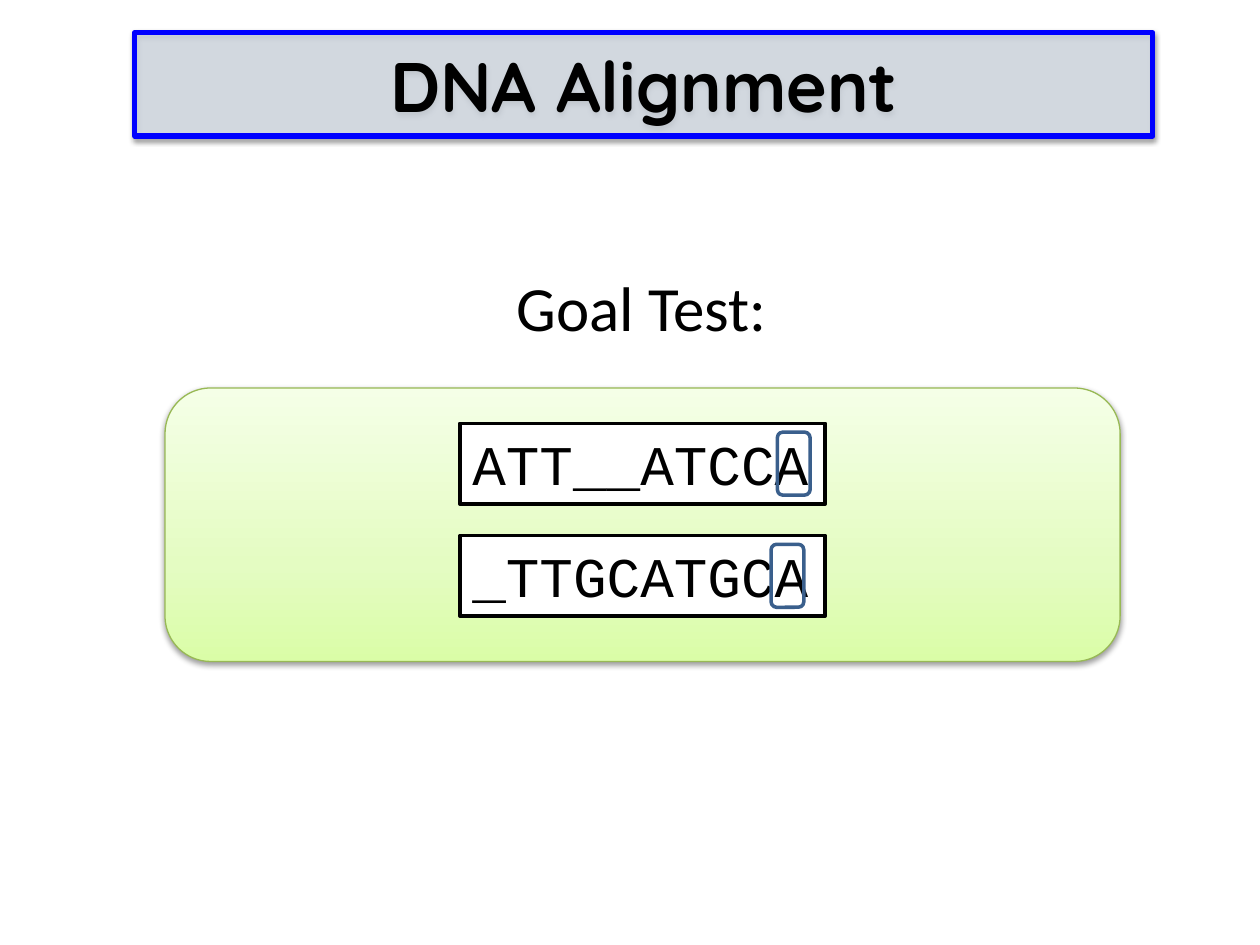
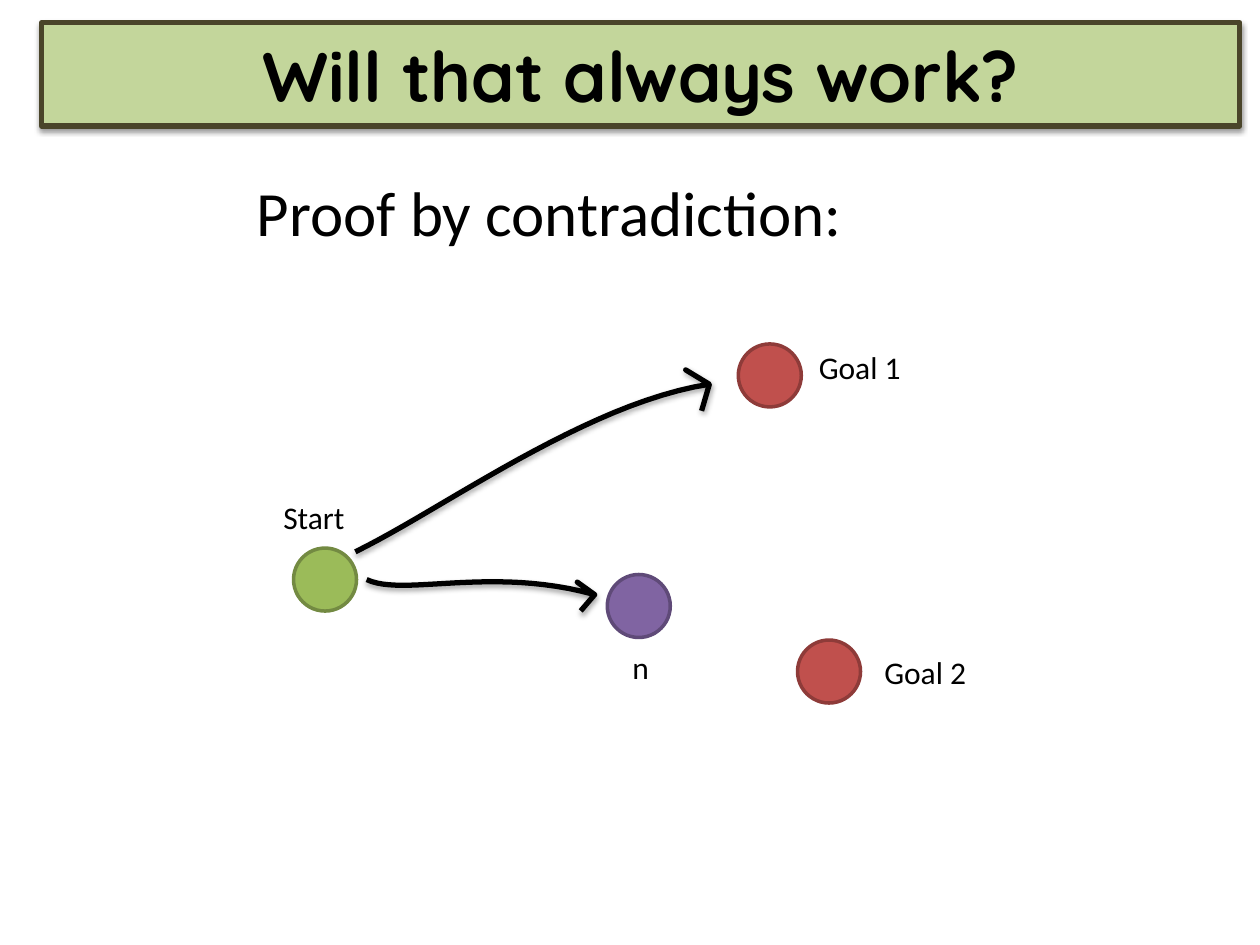
from dataclasses import dataclass
from math import atan2, cos, radians, sin
from lxml.etree import SubElement
from pptx import Presentation
from pptx.dml.color import RGBColor
from pptx.enum.shapes import MSO_SHAPE
from pptx.enum.text import MSO_ANCHOR, MSO_AUTO_SIZE, PP_ALIGN
from pptx.oxml.ns import qn
from pptx.util import Inches, Pt


@dataclass(frozen=True)
class Theme:
    head: str = "Quicksand"
    body: str = "Calibri"
    mono: str = "Courier New"
    big: int = 40
    lead: int = 36
    gene: int = 32
    small: int = 18
    ink: str = "000000"
    paper: str = "FFFFFF"
    mark: str = "3A5F8C"
    green: tuple = ("9BBB59", "738A42")
    red: tuple = ("C0504D", "8E3B39")
    purple: tuple = ("8064A2", "5F4A78")
    panel: tuple = ((0, "DAFDA7"), (35, "E4FCC2"), (100, "F5FFE7"))
    rim: str = "98B955"
    thick: int = 3
    thin: int = 2


T = Theme()

# Grid: 100 columns by 75 rows; places are left, top, width, height in cells
WIDE, HIGH = Inches(10), Inches(7.5)
COLS, ROWS = 100, 75

# Content of the alignment slide
ALIGN = dict(title="DNA Alignment", at=(10.7, 2.6, 80.8, 8.2),
             fill="DCE6F2", line="0000FF", alpha=60)
GOAL = ("Goal Test:", (40, 20.8, 22.1, 7.1))
PANEL = (13.1, 30.8, 75.8, 21.7)
GENES = [("ATT__ATCCA", 61.7), ("_TTGCATGCA", 61.2)]  # text, left of its mark
GENE_AT, GENE_STEP = (36.5, 33.6, 29, 6.4), 8.9
MARK_DROP, MARK_SIZE = 0.7, (2.6, 5)

# Content of the proof slide
PROOF = dict(title="Will that always work?", at=(3.3, 1.8, 95.1, 8.2),
             fill="C3D69B", line="4A452A")
CLAIM = ("Proof by contradiction:", (19.4, 13.3, 48.9, 7.1))
DOT = 5
NODES = [  # label, label place, dot corner, colours
    ("Start", (21.5, 39, 6.9, 4), (23.3, 43.5), T.green),
    ("Goal 1", (64, 27.1, 8.6, 4), (58.6, 27.3), T.red),
    ("Goal 2", (69.2, 51.3, 8.6, 4), (63.3, 50.8), T.red),
    ("n", (49.2, 50.9, 3.4, 4), (48.2, 45.6), T.purple),
]
# Curved arrows: ends, the two bends that pull the curve, and the head's
# barbs as a length and their turns in degrees from the way back
ROUTES = [
    dict(tail=(29.1, 46), bends=((32, 47.4), (39, 44.9)), tip=(47.2, 47.2),
         barb=1.7, turns=(20, -65)),
    dict(tail=(28.2, 43.8), bends=((35, 40.5), (46.5, 32)), tip=(56.3, 30.5),
         barb=2.2, turns=(40, -65)),
]
CURVE_STEPS = 24


def spot(x, y):
    return round(x * WIDE / COLS), round(y * HIGH / ROWS)


def place(at):
    return *spot(*at[:2]), *spot(*at[2:])


def shade(shape, alpha, drop):
    """Cast a soft shadow straight down."""
    effects = shape._element.spPr.find(qn("a:effectLst"))
    cast = SubElement(effects, qn("a:outerShdw"), blurRad=str(Pt(3.1)),
                      dist=str(Pt(drop)), dir="5400000", rotWithShape="0")
    tint = SubElement(cast, qn("a:srgbClr"), val=T.ink)
    SubElement(tint, qn("a:alpha"), val=str(alpha * 1000))


def paint(shape, line, width, fill=None, alpha=None):
    shape.shadow.inherit = False
    shape.line.color.rgb = RGBColor.from_string(line)
    shape.line.width = Pt(width)
    if fill is None:
        shape.fill.background()
        return
    shape.fill.solid()
    shape.fill.fore_color.rgb = RGBColor.from_string(fill)
    if alpha:
        tint = shape._element.spPr.find(qn("a:solidFill"))[0]
        SubElement(tint, qn("a:alpha"), val=str(alpha * 1000))


def blend(shape, stops):
    """Fill with a gradient that runs from the bottom up."""
    shape.fill.gradient()
    shape.fill.gradient_angle = 90
    ramp = shape._element.spPr.find(qn("a:gradFill")).find(qn("a:gsLst"))
    ramp.clear()
    for share, color in stops:
        stop = SubElement(ramp, qn("a:gs"), pos=str(share * 1000))
        SubElement(stop, qn("a:srgbClr"), val=color)


def draw(slide, kind, at, **look):
    shape = slide.shapes.add_shape(kind, *place(at))
    paint(shape, **look)
    return shape


def write(shape, text, size, font=T.body, bold=False, middle=False):
    frame = shape.text_frame
    frame.word_wrap = middle
    frame.auto_size = (MSO_AUTO_SIZE.NONE if middle
                       else MSO_AUTO_SIZE.SHAPE_TO_FIT_TEXT)
    frame.vertical_anchor = MSO_ANCHOR.MIDDLE if middle else MSO_ANCHOR.TOP
    para = frame.paragraphs[0]
    para.alignment = PP_ALIGN.CENTER if middle else PP_ALIGN.LEFT
    run = para.add_run()
    run.text = text
    run.font.name, run.font.size, run.font.bold = font, Pt(size), bold
    run.font.color.rgb = RGBColor.from_string(T.ink)


def label(slide, text, at, size):
    write(slide.shapes.add_textbox(*place(at)), text, size)


def start(deck, title, at, **look):
    """Add a blank slide with its title band."""
    slide = deck.slides.add_slide(deck.slide_layouts[6])
    band = draw(slide, MSO_SHAPE.RECTANGLE, at, width=T.thick, **look)
    shade(band, 38, 1.6)
    write(band, title, T.big, font=T.head, bold=True, middle=True)
    return slide


def curve(tail, bends, tip):
    """Sample the cubic Bezier curve from tail to tip."""
    dots = []
    for step in range(CURVE_STEPS + 1):
        t = step / CURVE_STEPS
        pulls = (1 - t) ** 3, 3 * t * (1 - t) ** 2, 3 * t * t * (1 - t), t ** 3
        dots.append([sum(pull * value for pull, value in zip(pulls, axis))
                     for axis in zip(tail, *bends, tip)])
    return dots


def barbs(bend, tip, size, turns):
    """Find the ends of the head's barbs, turned from the way back."""
    back = atan2(bend[1] - tip[1], bend[0] - tip[0])
    return [(tip[0] + size * cos(back + radians(turn)),
             tip[1] + size * sin(back + radians(turn))) for turn in turns]


def arrow(slide, tail, bends, tip, barb, turns):
    """Draw shaft and head in one stroke."""
    upper, lower = barbs(bends[-1], tip, barb, turns)
    dots = curve(tail, bends, tip) + [upper, tip, lower]
    first, *rest = [spot(*dot) for dot in dots]
    pen = slide.shapes.build_freeform(*first)
    pen.add_line_segments(rest, close=False)
    route = pen.convert_to_shape()
    paint(route, T.ink, T.thick)
    shade(route, 35, 1.8)


def show_goal(deck):
    slide = start(deck, **ALIGN)
    label(slide, *GOAL, T.lead)
    panel = draw(slide, MSO_SHAPE.ROUNDED_RECTANGLE, PANEL,
                 line=T.rim, width=0.75)
    blend(panel, T.panel)
    shade(panel, 38, 1.6)
    # Sequences, each with its last letter marked
    left, top, *size = GENE_AT
    for row, (gene, edge) in enumerate(GENES):
        y = top + row * GENE_STEP
        box = draw(slide, MSO_SHAPE.RECTANGLE, (left, y, *size),
                   line=T.ink, width=T.thin, fill=T.paper)
        write(box, gene, T.gene, font=T.mono)
        draw(slide, MSO_SHAPE.ROUNDED_RECTANGLE,
             (edge, y + MARK_DROP, *MARK_SIZE), line=T.mark, width=T.thin)


def show_proof(deck):
    slide = start(deck, **PROOF)
    label(slide, *CLAIM, T.lead)
    for name, at, corner, (fill, line) in NODES:
        draw(slide, MSO_SHAPE.OVAL, (*corner, DOT, DOT),
             line=line, width=T.thin, fill=fill)
        label(slide, name, at, T.small)
    for route in ROUTES:
        arrow(slide, **route)


def main():
    deck = Presentation()
    deck.slide_width, deck.slide_height = WIDE, HIGH
    show_goal(deck)
    show_proof(deck)
    deck.save("out.pptx")


if __name__ == "__main__":
    main()
